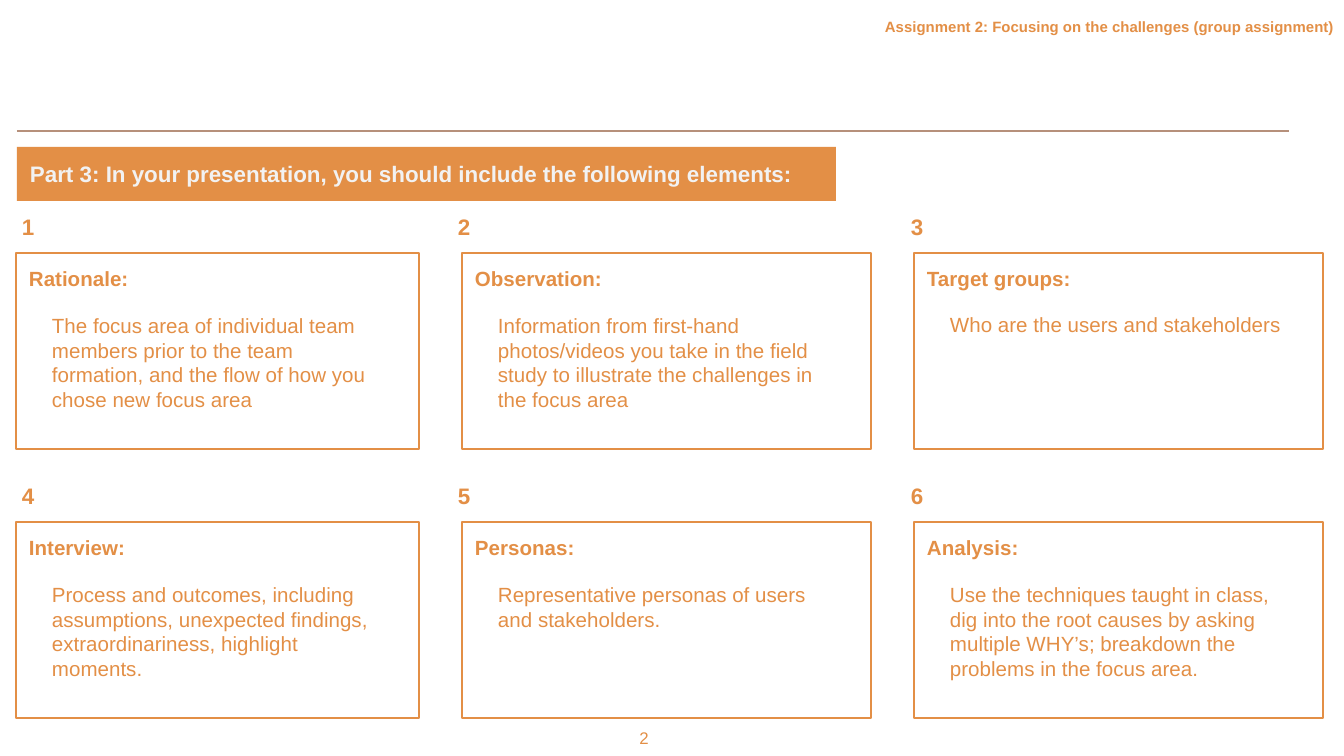
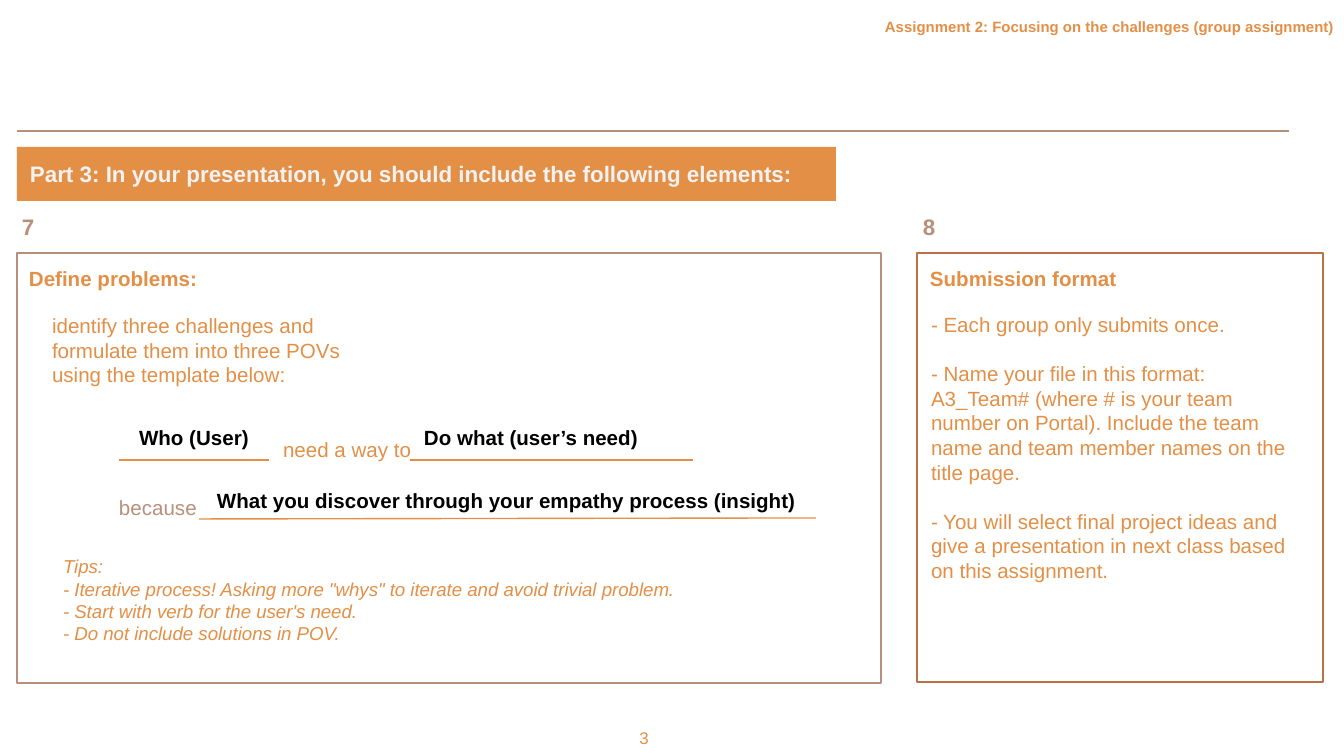
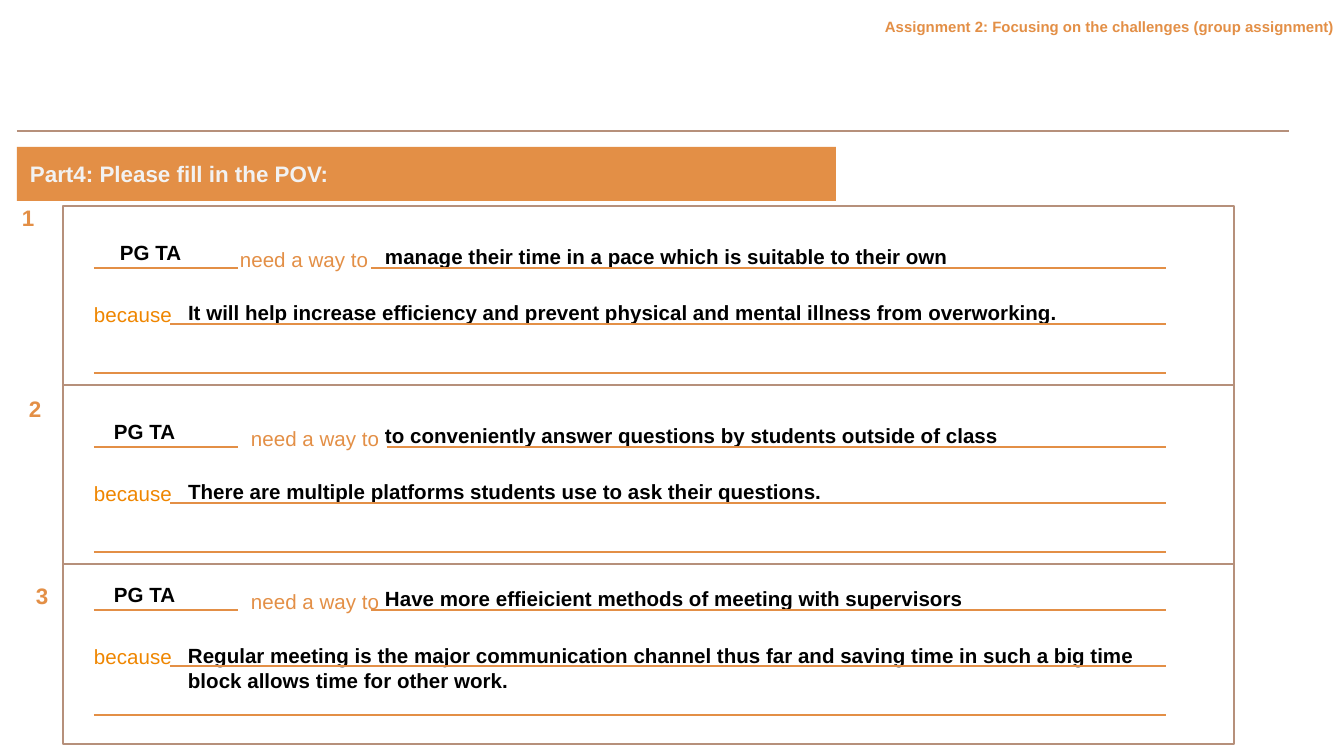
from lxml import etree
from pptx import Presentation
from pptx.dml.color import RGBColor
from pptx.enum.shapes import MSO_CONNECTOR, MSO_SHAPE
from pptx.enum.text import MSO_ANCHOR, MSO_AUTO_SIZE, PP_ALIGN
from pptx.oxml.ns import qn
from pptx.util import Emu, Pt

RECTANGLE = MSO_SHAPE.RECTANGLE
STRAIGHT = MSO_CONNECTOR.STRAIGHT
TOP = MSO_ANCHOR.TOP
GROW = MSO_AUTO_SIZE.SHAPE_TO_FIT_TEXT
FIXED = MSO_AUTO_SIZE.NONE
LEFT = PP_ALIGN.LEFT
CENTER = PP_ALIGN.CENTER

EMU_PER_PX = 914400 / 134.4
FONT = "Arial"
INSET = 13
COLORS = {
    "orange": "E38F46",
    "brown": "B6907B",
    "rust": "BC7049",
    "amber": "EF8600",
    "pale": "F2F2F2",
    "white": "FFFFFF",
    "black": "000000",
}

COURSE_TITLE = "Assignment 2: Focusing on the challenges (group assignment)"
PART_3 = "Part 3: In your presentation, you should include the following elements:"
PART_4 = "Part4: Please fill in the POV:"

CARD_COLUMNS = [(16, 403, 9), (462, 409, 445), (914, 409, 898)]
CARD_TOP, CARD_HEIGHT, CARD_PITCH = 253, 196, 269
ELEMENTS = [
    ("Rationale:", "The focus area of individual team members prior to the team "
     "formation, and the flow of how you chose new focus area"),
    ("Observation:", "Information from first-hand photos/videos you take in the field "
     "study to illustrate the challenges in the focus area"),
    ("Target groups:", "Who are the users and stakeholders"),
    ("Interview:", "Process and outcomes, including assumptions, unexpected findings, "
     "extraordinariness, highlight moments."),
    ("Personas:", "Representative personas of users and stakeholders."),
    ("Analysis:", "Use the techniques taught in class, dig into the root causes by asking "
     "multiple WHY’s; breakdown the problems in the focus area."),
]

TIPS = [
    "Tips:",
    "- Iterative process! Asking more \"whys\" to iterate and avoid trivial problem.",
    "- Start with verb for the user's need.",
    "- Do not include solutions in POV.",
]
SUBMISSION_RULES = [
    "- Each group only submits once.",
    "- Name your file in this format: A3_Team# (where # is your team number on Portal). "
    "Include the team name and team member names on the title page.",
    "- You will select final project ideas and give a presentation in next class based "
    "on this assignment.",
]

POV_TOP, POV_PITCH = 206, 179
POV_ENTRIES = [
    {"number_at": (9, 191), "line_y": 268, "who_x": 107, "need_x": 227, "rule_x": 371,
     "need": "manage their time in a pace which is suitable to their own",
     "need_width": 798, "reason_width": 960,
     "reason": "It will help increase efficiency and prevent physical and mental illness "
               "from overworking."},
    {"number_at": (16, 382), "line_y": 447, "who_x": 101, "need_x": 238, "rule_x": 387,
     "need": "to conveniently answer questions by students outside of class",
     "need_width": 780, "reason_width": 913,
     "reason": "There are multiple platforms students use to ask their questions."},
    {"number_at": (23, 569), "line_y": 610, "who_x": 101, "need_x": 238, "rule_x": 371,
     "need": "Have more effieicient methods of meeting with supervisors",
     "need_width": 715, "reason_width": 1021,
     "reason": "Regular meeting is the major communication channel thus far and saving "
               "time in such a big time block allows time for other work."},
]


def px(length):
    return Emu(round(length * EMU_PER_PX))


def rgb(name):
    return RGBColor.from_string(COLORS[name])


def write(shape, texts, size, color, bold=False, italic=False, align=LEFT, gap=0, fit=GROW):
    frame = shape.text_frame
    frame.word_wrap = True
    frame.auto_size = fit
    frame.vertical_anchor = TOP
    frame.margin_left = frame.margin_right = px(INSET)
    frame.margin_top = frame.margin_bottom = px(INSET)
    for index, text in enumerate(texts):
        para = frame.paragraphs[0] if index == 0 else frame.add_paragraph()
        para.text = text
        para.alignment = align
        if index:
            para.space_before = Pt(gap)
        font = para.font
        font.name, font.size, font.bold, font.italic = FONT, Pt(size), bold, italic
        font.color.rgb = rgb(color)


def add_text(page, x, y, width, height, *texts, size=11, color="orange", **style):
    box = page.shapes.add_textbox(px(x), px(y), px(width), px(height))
    write(box, texts, size, color, **style)


def add_panel(page, x, y, width, height, fill="white", line=None):
    panel = page.shapes.add_shape(RECTANGLE, px(x), px(y), px(width), px(height))
    panel.shadow.inherit = False
    panel.fill.solid()
    panel.fill.fore_color.rgb = rgb(fill)
    if line:
        panel.line.color.rgb = rgb(line)
        panel.line.width = Pt(0.75)
    else:
        panel.line.fill.background()
    return panel


def add_rule(page, x1, y1, x2, y2, color="orange"):
    rule = page.shapes.add_connector(STRAIGHT, px(x1), px(y1), px(x2), px(y2))
    rule.line.color.rgb = rgb(color)
    rule.line.width = Pt(0.75)
    etree.SubElement(rule._element.spPr, qn("a:effectLst"))


def add_number(page, x, y, number, color="orange"):
    add_text(page, x, y, 42, 54, str(number), size=12, color=color, bold=True)


def add_heading(page, x, y, text):
    add_text(page, x, y, 441, 52, text, bold=True)


def add_answer(page, x, y, width, text):
    add_text(page, x, y, width, 52, text, color="black", bold=True)


def add_page(deck, title, page_number=None):
    page = deck.slides.add_slide(deck.slide_layouts[6])
    add_text(page, 872, 9, 661, 46, COURSE_TITLE, size=8, bold=True)
    add_rule(page, 17, 131, 1289, 131, "brown")
    band = add_panel(page, 17, 147, 819, 54, fill="orange")
    write(band, [title], 12, "pale", bold=True)
    if page_number:
        add_text(page, 626, 715, 36, 48, str(page_number), size=9, align=CENTER, fit=FIXED)
    return page


def add_element_card(page, index, heading, body):
    row, column = divmod(index, len(CARD_COLUMNS))
    x, width, number_x = CARD_COLUMNS[column]
    y = CARD_TOP + row * CARD_PITCH
    add_panel(page, x, y, width, CARD_HEIGHT, line="orange")
    add_heading(page, x, y + 1, heading)
    add_text(page, x + 23, y + 47, width - 49, 126, body)
    add_number(page, number_x, y - 53, index + 1)


def add_problem_panel(page):
    add_panel(page, 17, 253, 864, 430, line="brown")
    add_heading(page, 16, 254, "Define problems:")
    add_text(page, 39, 300, 353, 102, "identify three challenges and formulate them into "
             "three POVs using the template below:")
    add_number(page, 9, 200, 7, "brown")
    add_answer(page, 126, 413, 164, "Who (User)")
    add_text(page, 270, 425, 164, 52, "need a way to")
    add_answer(page, 411, 413, 280, "Do what (user’s need)")
    add_text(page, 106, 483, 441, 52, "because", color="brown")
    add_answer(page, 204, 476, 661, "What you discover through your empathy process (insight)")
    add_rule(page, 119, 460, 269, 460)
    add_rule(page, 410, 460, 693, 460)
    add_rule(page, 199, 519, 816, 518)
    add_text(page, 50, 542, 782, 140, *TIPS, size=10, italic=True)


def add_submission_panel(page):
    add_panel(page, 917, 253, 406, 429, line="rust")
    add_heading(page, 917, 254, "Submission format")
    add_text(page, 918, 299, 388, 301, *SUBMISSION_RULES, gap=13)
    add_number(page, 910, 200, 8, "brown")


def add_pov_entry(page, number, entry):
    y = entry["line_y"]
    add_number(page, *entry["number_at"], number)
    add_answer(page, entry["who_x"], y - 40, 156, "PG TA")
    add_text(page, entry["need_x"], y - 33, 156, 50, "need a way to")
    add_answer(page, 372, y - 36, entry["need_width"], entry["need"])
    add_text(page, 81, y + 22, 421, 50, "because", color="amber")
    add_answer(page, 175, y + 20, entry["reason_width"], entry["reason"])
    add_rule(page, 94, y, 238, y)
    add_rule(page, entry["rule_x"], y, 1166, y)
    add_rule(page, 170, y + 56, 1166, y + 56)
    add_rule(page, 94, y + 105, 1166, y + 105)


def main():
    deck = Presentation()
    deck.slide_width, deck.slide_height = px(1344), px(756)

    elements_page = add_page(deck, PART_3, 2)
    for index, (heading, body) in enumerate(ELEMENTS):
        add_element_card(elements_page, index, heading, body)

    problems_page = add_page(deck, PART_3, 3)
    add_problem_panel(problems_page)
    add_submission_panel(problems_page)

    pov_page = add_page(deck, PART_4)
    for row in range(len(POV_ENTRIES)):
        add_panel(pov_page, 63, POV_TOP + row * POV_PITCH, 1171, POV_PITCH + 1, line="brown")
    for number, entry in enumerate(POV_ENTRIES, start=1):
        add_pov_entry(pov_page, number, entry)

    deck.save("out.pptx")


if __name__ == "__main__":
    main()
